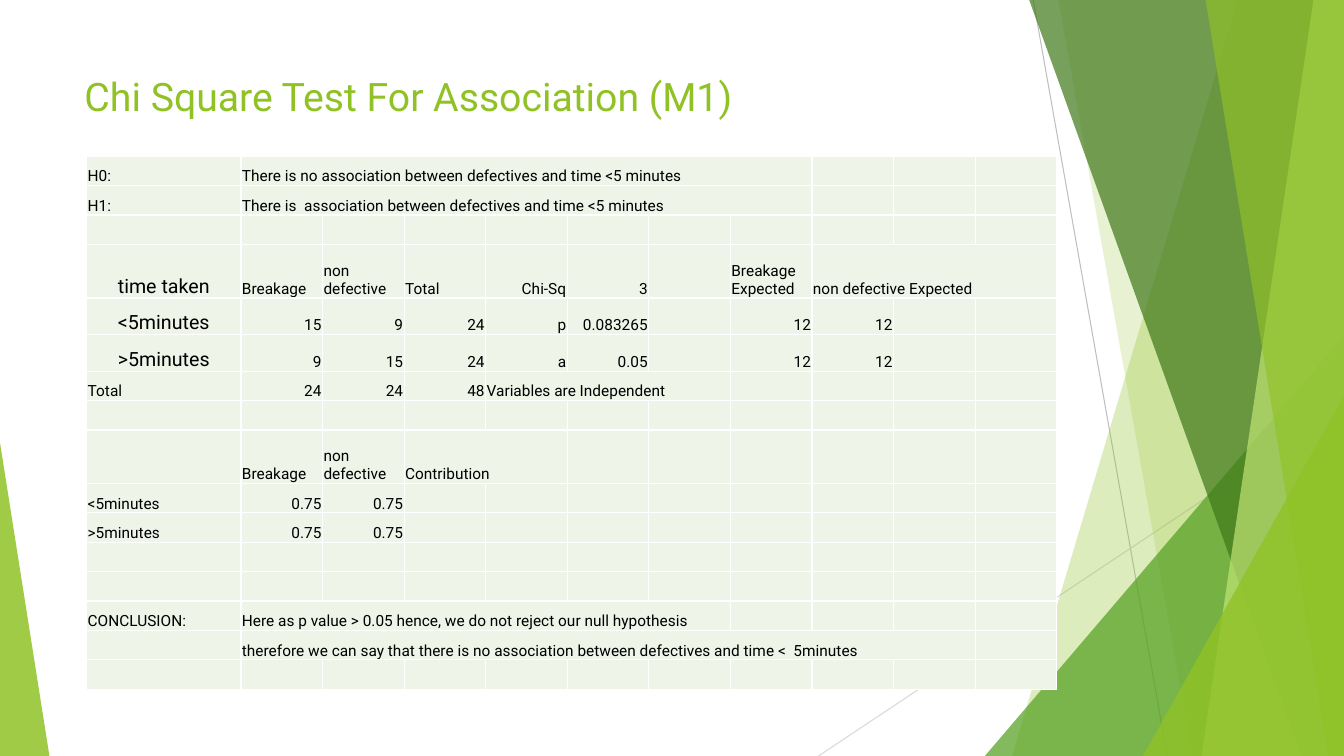
import dataclasses

import lxml.etree
import pptx
import pptx.dml.color
import pptx.enum.shapes
import pptx.enum.text
import pptx.oxml.ns
import pptx.util

ALIGN = pptx.enum.text.PP_ALIGN
ANCHOR = pptx.enum.text.MSO_ANCHOR


@dataclasses.dataclass(frozen=True)
class Theme:
    font: str = "Roboto"
    title_size: int = 28
    label_size: int = 14
    body_size: int = 11
    lime: str = "90C226"
    green: str = "54A021"
    forest: str = "3F7819"
    pale_lime: str = "C0E474"
    cell: str = "EEF4E8"
    text: str = "000000"
    border: str = "FFFFFF"
    gray: str = "BFBFBF"
    light_gray: str = "D9D9D9"


def rgb(color):
    return pptx.dml.color.RGBColor.from_string(color)


def add_xml(parent, tag, **attributes):
    return lxml.etree.SubElement(parent, pptx.oxml.ns.qn(tag), **attributes)


class SlideBuilder:
    """Draws on one slide; every length is a percentage of the slide's size."""

    def __init__(self, presentation, theme):
        self.theme = theme
        self.width = presentation.slide_width
        self.height = presentation.slide_height
        self.shapes = presentation.slides.add_slide(presentation.slide_layouts[6]).shapes

    def x(self, share):
        return round(self.width * share / 100)

    def y(self, share):
        return round(self.height * share / 100)

    def box(self, left, top, width, height):
        return self.x(left), self.y(top), self.x(width), self.y(height)

    def line(self, start, end, color):
        line = self.shapes.add_connector(
            pptx.enum.shapes.MSO_CONNECTOR.STRAIGHT,
            self.x(start[0]), self.y(start[1]), self.x(end[0]), self.y(end[1]))
        line.line.color.rgb = rgb(color)
        line.line.width = pptx.util.Pt(0.75)
        add_xml(line._element.spPr, "a:effectLst")

    def paint(self, shape, color, opacity):
        shape.shadow.inherit = False
        shape.line.fill.background()
        shape.fill.solid()
        shape.fill.fore_color.rgb = rgb(color)
        srgb = shape._element.spPr.find(".//" + pptx.oxml.ns.qn("a:srgbClr"))
        add_xml(srgb, "a:alpha", val=str(opacity * 1000))

    def band(self, top_left, bottom_left, color, opacity):
        """Full-height band with a slanted left edge, reaching the slide's right edge."""
        outline = self.shapes.build_freeform(self.x(top_left), 0)
        corners = [(100, 0), (100, 100), (bottom_left, 100)]
        outline.add_line_segments([(self.x(x), self.y(y)) for x, y in corners], close=True)
        self.paint(outline.convert_to_shape(), color, opacity)

    def triangle(self, left, top, width, apex, color, opacity):
        """Triangle standing on the slide's bottom edge; apex is 0 (left) to 1 (right)."""
        shape = self.shapes.add_shape(
            pptx.enum.shapes.MSO_SHAPE.ISOSCELES_TRIANGLE,
            *self.box(left, top, width, 100 - top))
        shape.adjustments[0] = apex
        self.paint(shape, color, opacity)

    def style(self, paragraph, size, color, align=ALIGN.LEFT):
        paragraph.alignment = align
        paragraph.font.name = self.theme.font
        paragraph.font.size = pptx.util.Pt(size)
        paragraph.font.color.rgb = rgb(color)

    def title(self, text, *place):
        frame = self.shapes.add_textbox(*self.box(*place)).text_frame
        frame.word_wrap = True
        frame.text = text
        self.style(frame.paragraphs[0], self.theme.title_size, self.theme.lime)

    def cell(self, cell, text, size, align):
        cell.margin_left = cell.margin_right = cell.margin_top = pptx.util.Inches(0.01)
        cell.margin_bottom = 0
        cell.vertical_anchor = ANCHOR.BOTTOM
        properties = cell._tc.get_or_add_tcPr()
        for side in ("a:lnL", "a:lnR", "a:lnT", "a:lnB"):
            border = add_xml(properties, side, w=str(pptx.util.Pt(1)))
            add_xml(add_xml(border, "a:solidFill"), "a:srgbClr", val=self.theme.border)
        cell.fill.solid()
        cell.fill.fore_color.rgb = rgb(self.theme.cell)
        paragraph = cell.text_frame.paragraphs[0]
        if text:
            paragraph.text = text
            self.style(paragraph, size, self.theme.text, align)
        else:
            add_xml(paragraph._p, "a:endParaRPr", sz=str(size * 100))

    def table(self, left, top, columns, rows, content, spans, cell_style):
        table = self.shapes.add_table(
            len(rows), len(columns), *self.box(left, top, sum(columns), sum(rows))).table
        table.first_row = table.horz_banding = False
        for column, share in zip(table.columns, columns):
            column.width = self.x(share)
        for row, share in zip(table.rows, rows):
            row.height = self.y(share)
        for r in range(len(rows)):
            texts = content.get(r, [])
            for c in range(len(columns)):
                text = texts[c] if c < len(texts) else ""
                self.cell(table.cell(r, c), text, *cell_style(r, c, text))
        for (r, c), count in spans.items():
            table.cell(r, c).merge(table.cell(r, c + count - 1))


TEST_ROWS = {
    0: ["H0:", "There is no association between defectives and time <5 minutes"],
    1: ["H1:", "There is  association between defectives and time <5 minutes"],
    3: ["time taken", "Breakage", "non defective", "Total", "Chi-Sq", "3", "",
        "Breakage Expected", "non defective Expected"],
    4: ["<5minutes", "15", "9", "24", "p", "0.083265", "", "12", "12"],
    5: [">5minutes", "9", "15", "24", "a", "0.05", "", "12", "12"],
    6: ["Total", "24", "24", "48", "Variables are Independent"],
    8: ["", "Breakage", "non defective", "Contribution"],
    9: ["<5minutes", "0.75", "0.75"],
    10: [">5minutes", "0.75", "0.75"],
    13: ["CONCLUSION:", "Here as p value > 0.05 hence, we do not reject our null hypothesis"],
    14: ["", "therefore we can say that there is no association between "
         "defectives and time <  5minutes"],
}
TEST_SPANS = {(0, 1): 7, (1, 1): 7, (3, 8): 3, (6, 4): 3, (8, 3): 2, (13, 1): 6, (14, 1): 9}
HEADER_ROWS = (3, 8)
TIME_ROWS = (3, 4, 5)
STATISTICS = ("Chi-Sq", "p", "a")


def test_cell_style(row, column, text):
    if column == 0 and row in TIME_ROWS:
        return Theme.label_size, ALIGN.CENTER
    is_value = text in STATISTICS or text.replace(".", "").isdigit()
    return Theme.body_size, ALIGN.RIGHT if is_value else ALIGN.LEFT


def row_share(row):
    if row in HEADER_ROWS:
        return 7.07
    return 4.85 if row in TIME_ROWS else 3.89


def main():
    presentation = pptx.Presentation()
    presentation.slide_width = pptx.util.Inches(13.33)
    presentation.slide_height = pptx.util.Inches(7.5)
    theme = Theme()
    slide = SlideBuilder(presentation, theme)

    slide.line((76.88, 0), (86.85, 100), theme.gray)
    slide.line((100, 53.73), (60.9, 100), theme.light_gray)
    slide.band(92.1, 75.3, theme.lime, 30)
    slide.band(78.75, 88.73, theme.lime, 20)
    slide.triangle(73.28, 44.4, 26.72, 1, theme.green, 72)
    slide.band(76.58, 96.83, theme.forest, 70)
    slide.band(97.73, 89.4, theme.pale_lime, 70)
    slide.band(89.7, 98.85, theme.lime, 65)
    slide.triangle(85.05, 52.4, 14.95, 1, theme.lime, 80)
    slide.triangle(0, 58.53, 3.68, 0, theme.lime, 85)

    slide.title("Chi Square Test For Association (M1)", 5.55, 8.93, 70.5, 19.2)
    slide.table(6.45, 20.67, [11.48] + [6.07] * 10, [row_share(row) for row in range(16)],
                TEST_ROWS, TEST_SPANS, test_cell_style)
    presentation.save("out.pptx")


if __name__ == "__main__":
    main()
